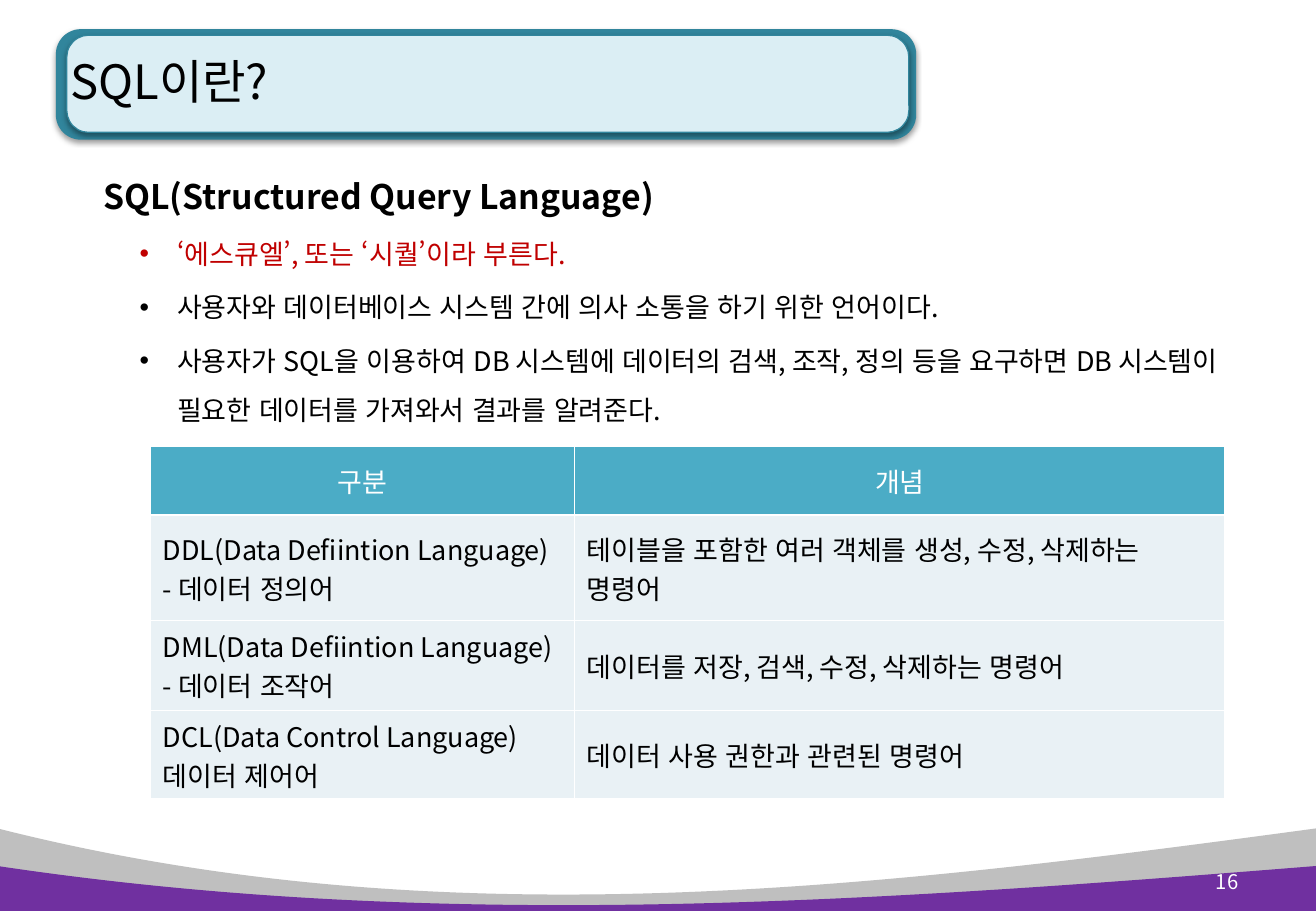
from collections import namedtuple
from dataclasses import dataclass

from lxml.etree import SubElement
from pptx import Presentation
from pptx.dml.color import RGBColor
from pptx.enum.lang import MSO_LANGUAGE_ID as Language
from pptx.enum.shapes import MSO_SHAPE as Shape
from pptx.enum.text import MSO_ANCHOR as Anchor, PP_ALIGN as Align
from pptx.oxml.ns import qn
from pptx.util import Pt

PX = 9144  # EMU per px, 100 px to the inch
Box = namedtuple("Box", "left top width height")


@dataclass(frozen=True)
class Theme:
    font: str = "Noto Sans CJK KR"
    ink: str = "000000"
    white: str = "FFFFFF"
    accent: str = "C00000"
    gray: str = "BFBFBF"
    purple: str = "7030A0"
    frame: str = "31859C"
    plate: str = "DBEEF4"
    header: str = "4BACC6"
    cell: str = "E9F1F5"
    title_size: int = 28
    heading_size: int = 20
    body_size: int = 16
    number_size: int = 12
    body_spacing: float = 1.5


THEME = Theme()
PAGE = Box(0, 0, 1083, 750)

BULLETS = [
    ("‘에스큐엘’, 또는 ‘시퀄’이라 부른다.", THEME.accent),
    ("사용자와 데이터베이스 시스템 간에 의사 소통을 하기 위한 언어이다.", THEME.ink),
    ("사용자가 SQL을 이용하여 DB 시스템에 데이터의 검색, 조작, 정의 등을 요구하면 "
     "DB 시스템이 필요한 데이터를 가져와서 결과를 알려준다.", THEME.ink),
]
COLUMNS = [349, 535]
ROW_HEIGHTS = [57, 87, 74, 73]
ROWS = [
    (["구분"], ["개념"]),
    (["DDL(Data Defiintion Language) - 데이터 정의어"],
     ["테이블을 포함한 여러 객체를 생성, 수정, 삭제하는 명령어"]),
    (["DML(Data Defiintion Language) - 데이터 조작어"],
     ["데이터를 저장, 검색, 수정, 삭제하는 명령어"]),
    (["DCL(Data Control Language)", "데이터 제어어"],
     ["데이터 사용 권한과 관련된 명령어"]),
]


def emu(box):
    return [value * PX for value in box]


def set_fill(target, color):
    target.fill.solid()
    target.fill.fore_color.rgb = RGBColor.from_string(color)


def add_color(parent, color):
    return SubElement(parent, qn("a:srgbClr"), val=color)


def add_run(para, text, size, color, bold=False):
    span = para.add_run()
    span.text = text
    font = span.font
    font.size, font.bold, font.name = Pt(size), bold, THEME.font
    font.language_id = Language.KOREAN
    font.color.rgb = RGBColor.from_string(color)
    SubElement(font._element, qn("a:ea"), typeface=THEME.font)


def add_text_frame(slide, box, anchor):
    frame = slide.shapes.add_textbox(*emu(box)).text_frame
    frame.word_wrap = True
    frame.vertical_anchor = anchor
    return frame


def add_wave(slide, box, handles, color):
    """Fill the box below a cubic curve; handles are the two control points."""
    left, top, width, height = box
    builder = slide.shapes.build_freeform(left, top, scale=PX)
    builder.add_line_segments([(left + width, top), (left + width, top + height),
                               (left, top + height)])
    wave = builder.convert_to_shape()
    edge = next(wave._element.iter(qn("a:lnTo")))
    edge.tag = qn("a:cubicBezTo")
    for index, (x, y) in enumerate(handles):
        edge.insert(index, edge.makeelement(qn("a:pt"), x=str(x), y=str(y)))
    wave.shadow.inherit = False
    set_fill(wave, color)
    wave.line.fill.background()


def add_plate(slide, box, color, line=None):
    """Rounded rectangle with a soft shadow beneath it."""
    plate = slide.shapes.add_shape(Shape.ROUNDED_RECTANGLE, *emu(box))
    plate.adjustments[0] = 0.225
    set_fill(plate, color)
    if line:
        plate.line.color.rgb = RGBColor.from_string(line)
        plate.line.width = Pt(0.75)
    else:
        plate.line.fill.background()
    plate.shadow.inherit = False
    effects = plate._element.spPr.find(qn("a:effectLst"))
    shadow = SubElement(effects, qn("a:outerShdw"), blurRad="40000", dist="20000",
                        dir="5400000", rotWithShape="0")
    SubElement(add_color(shadow, THEME.ink), qn("a:alpha"), val="38000")


def add_title(slide, box):
    left, top, width, height = box
    add_plate(slide, box, THEME.frame)
    add_plate(slide, Box(left + 9, top + 5, width - 15, height - 11),
              THEME.plate, THEME.frame)
    frame = add_text_frame(slide, Box(left + 2, top - 4, width, height + 2), Anchor.MIDDLE)
    add_run(frame.paragraphs[0], "SQL이란?", THEME.title_size, THEME.ink)


def set_indent(para, left, hanging=0):
    props = para._p.get_or_add_pPr()
    props.set("marL", str(left * PX))
    props.set("indent", str(-hanging * PX))
    return props


def add_body(slide, box):
    frame = add_text_frame(slide, box, Anchor.TOP)
    heading = frame.paragraphs[0]
    heading.line_spacing = THEME.body_spacing
    set_indent(heading, 20)
    add_run(heading, "SQL(Structured Query Language)", THEME.heading_size, THEME.ink, True)
    for text, color in BULLETS:
        para = frame.add_paragraph()
        para.line_spacing = THEME.body_spacing
        para.space_before = Pt(3)
        props = set_indent(para, 81, 31)
        SubElement(props, qn("a:buFont"), typeface="Arial")
        SubElement(props, qn("a:buChar"), char="•")
        add_run(para, text, THEME.body_size, color)


def add_borders(cell):
    props = cell._tc.get_or_add_tcPr()
    for side in "LRTB":
        line = SubElement(props, qn(f"a:ln{side}"), w=str(Pt(1)))
        add_color(SubElement(line, qn("a:solidFill")), THEME.white)


def fill_cell(cell, lines, is_header):
    add_borders(cell)
    set_fill(cell, THEME.header if is_header else THEME.cell)
    cell.vertical_anchor = Anchor.MIDDLE
    cell.margin_left = cell.margin_right = 10 * PX
    cell.margin_top = cell.margin_bottom = 5 * PX
    frame = cell.text_frame
    for index, text in enumerate(lines):
        para = frame.add_paragraph() if index else frame.paragraphs[0]
        para.alignment = Align.CENTER if is_header else Align.LEFT
        add_run(para, text, THEME.body_size, THEME.white if is_header else THEME.ink)


def add_language_table(slide, box):
    table = slide.shapes.add_table(len(ROWS), len(COLUMNS), *emu(box)).table
    table.horz_banding = False
    for column, width in zip(table.columns, COLUMNS):
        column.width = width * PX
    for index, (row, height) in enumerate(zip(table.rows, ROW_HEIGHTS)):
        row.height = height * PX
        for cell, lines in zip(row.cells, ROWS[index]):
            fill_cell(cell, lines, index == 0)


def add_footer(slide, box):
    left, top, width, height = box
    add_wave(slide, box, [(367, 93), (722, 49)], THEME.gray)
    add_wave(slide, Box(left, top + 31, width, height - 31), [(367, 55), (722, 29)],
             THEME.purple)
    number = add_text_frame(slide, Box(left + 970, top + 24, 61, 40), Anchor.MIDDLE)
    para = number.paragraphs[0]
    para.alignment = Align.RIGHT
    add_run(para, "16", THEME.number_size, THEME.white)


def main():
    deck = Presentation()
    deck.slide_width, deck.slide_height = PAGE.width * PX, PAGE.height * PX
    slide = deck.slides.add_slide(deck.slide_layouts[6])
    add_footer(slide, Box(-2, 682, 1085, 68))
    add_title(slide, Box(46, 24, 708, 91))
    add_body(slide, Box(55, 123, 975, 244))
    add_language_table(slide, Box(124, 367, sum(COLUMNS), sum(ROW_HEIGHTS)))
    deck.save("out.pptx")


if __name__ == "__main__":
    main()
